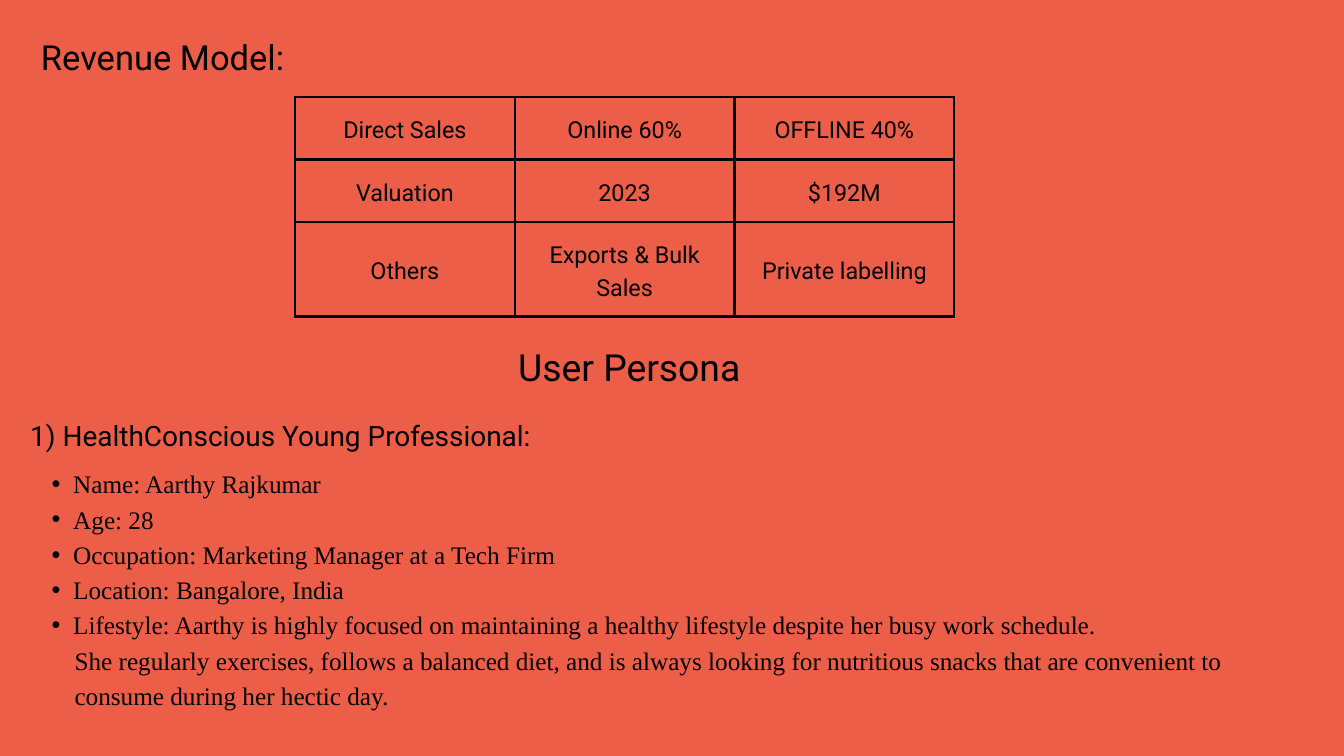
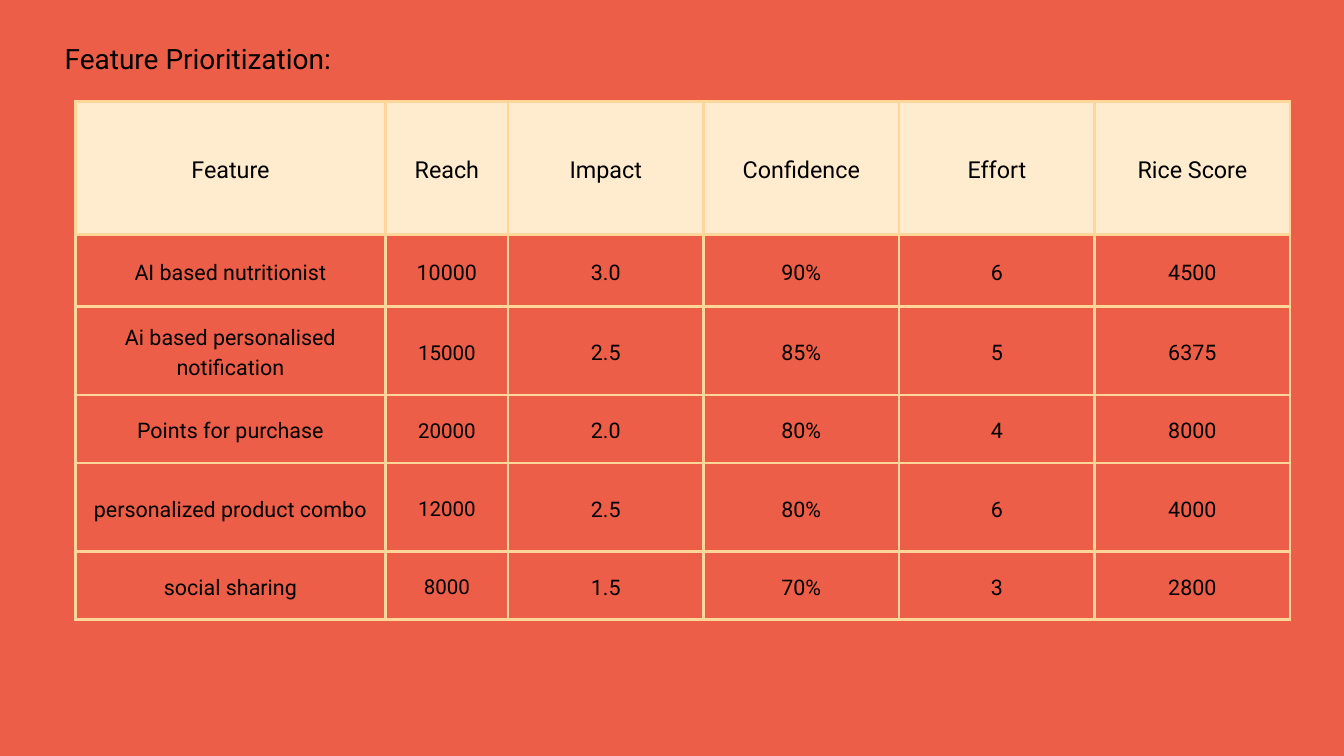
from lxml import etree
from pptx import Presentation
from pptx import util as u
from pptx.dml import color
from pptx.enum import text as t
from pptx.oxml import ns, parse_xml

hue = color.RGBColor.from_string
INK, CORAL, CREAM, GOLD = "000000", "ED5E48", "FFEBCD", "FFD699"
SANS, SERIF = "Roboto", "Times New Roman"
LEFT, MID, JUST = t.PP_ALIGN.LEFT, t.PP_ALIGN.CENTER, t.PP_ALIGN.JUSTIFY
LEAD = 1.4  # line pitch as a multiple of the text size
PAD = u.Inches(0.21)


def write(frame, lines, size, align=MID, font=SANS, pad=0):
    frame.word_wrap = True
    frame.margin_left = frame.margin_right = pad
    frame.margin_top = frame.margin_bottom = pad
    for i, line in enumerate(lines):
        par = frame.add_paragraph() if i else frame.paragraphs[0]
        par.alignment = align
        par.line_spacing = u.Pt(round(size * LEAD, 1))
        run = par.add_run()
        run.text = line
        run.font.size = u.Pt(size)
        run.font.name = font
        run.font.color.rgb = hue(INK)


def grid(slide, left, top, cols, rows, data, edge, head=None):
    """Add a ruled table; head is the fill of its first row, if any."""
    box = slide.shapes.add_table(len(rows), len(cols), u.Inches(left), u.Inches(top),
                                 u.Inches(sum(cols)), u.Inches(sum(rows)))
    table = box.table
    table.first_row = table.horz_banding = False
    for col, wide in zip(table.columns, cols):
        col.width = u.Inches(wide)
    for r, tall in enumerate(rows):
        table.rows[r].height = u.Inches(tall)
        for c, word in enumerate(data[r]):
            cell = table.cell(r, c)
            size = 25 if r == 0 or not head else 22 if c == 1 and r > 1 else 23
            write(cell.text_frame, [word], size)
            cell.margin_left = cell.margin_right = PAD
            cell.margin_top = cell.margin_bottom = PAD
            cell.vertical_anchor = t.MSO_ANCHOR.MIDDLE
            if head and r == 0:
                cell.fill.solid()
                cell.fill.fore_color.rgb = hue(head)
            else:
                cell.fill.background()
            props = cell._tc.get_or_add_tcPr()
            for i, side in enumerate("LRTB"):
                props.insert(i, parse_xml(
                    f'<a:ln{side} {ns.nsdecls("a")} w="{u.Pt(3)}"><a:solidFill>'
                    f'<a:srgbClr val="{edge}"/></a:solidFill></a:ln{side}>'))


deck = Presentation()
deck.slide_width, deck.slide_height = u.Inches(20), u.Inches(11.25)
back = deck.slide_master.background.fill
back.solid()
back.fore_color.rgb = hue(CORAL)

# Titles
slides = []
for head, size, spot in [
    ("Revenue Model:", 37, (0.45, 0.43, 3.94, 0.7)),
    ("Feature Prioritization:", 30, (0.52, 0.54, 4.85, 0.58)),
]:
    slide = deck.slides.add_slide(deck.slide_layouts[5])
    title = slide.shapes.title
    title.left, title.top, title.width, title.height = map(u.Inches, spot)
    write(title.text_frame, [head], size)
    title.text_frame.vertical_anchor = t.MSO_ANCHOR.TOP
    title.text_frame.auto_size = t.MSO_AUTO_SIZE.NONE
    slides.append(slide)
model, plan = slides

# Revenue model and user persona
grid(model, 4.39, 1.44, [3.27] * 3, [0.93, 0.93, 1.41], [
    ("Direct Sales", "Online 60%", "OFFLINE 40%"),
    ("Valuation", "2023", "$192M"),
    ("Others", "Exports & Bulk Sales", "Private labelling"),
], INK)

facts = [
    "Name: Aarthy Rajkumar",
    "Age: 28",
    "Occupation: Marketing Manager at a Tech Firm",
    "Location: Bangalore, India",
    "Lifestyle: Aarthy is highly focused on maintaining a healthy lifestyle "
    "despite her busy work schedule.",
]
more = [
    "She regularly exercises, follows a balanced diet, and is always looking for "
    "nutritious snacks that are convenient to",
    "consume during her hectic day.",
]
for spot, lines, size, align, font in [
    ((7.48, 5.01, 3.77, 0.75), ["User Persona"], 40, MID, SANS),
    ((0.45, 6.14, 14.05, 0.58), ["1) HealthConscious Young Professional:"], 30, LEFT, SANS),
    ((0.45, 6.9, 18.66, 4.21), facts + more, 27, JUST, SERIF),
]:
    box = model.shapes.add_textbox(*map(u.Inches, spot))
    write(box.text_frame, lines, size, align, font)

# The last box holds the persona: bulleted facts, then plain indented lines
for i, par in enumerate(box.text_frame.paragraphs):
    props = par._p.get_or_add_pPr()
    if i < len(facts):
        props.set("marL", str(u.Inches(0.64)))
        props.set("indent", str(u.Inches(-0.32)))
        etree.SubElement(props, ns.qn("a:buFont"), typeface="Arial")
        etree.SubElement(props, ns.qn("a:buChar"), char="•")
    else:
        props.set("marL", str(u.Inches(0.66)))

# Feature prioritization
grid(plan, 1.12, 1.51, [4.62, 1.82] + [2.91] * 4, [1.98, 1.07, 1.32, 1.01, 1.32, 1.01], [
    ("Feature", "Reach", "Impact", "Confidence", "Effort", "Rice Score"),
    ("AI based nutritionist", "10000", "3.0", "90%", "6", "4500"),
    ("Ai based personalised notification", "15000", "2.5", "85%", "5", "6375"),
    ("Points for purchase", "20000", "2.0", "80%", "4", "8000"),
    ("personalized product combo", "12000", "2.5", "80%", "6", "4000"),
    ("social sharing", "8000", "1.5", "70%", "3", "2800"),
], GOLD, CREAM)

deck.save("out.pptx")
